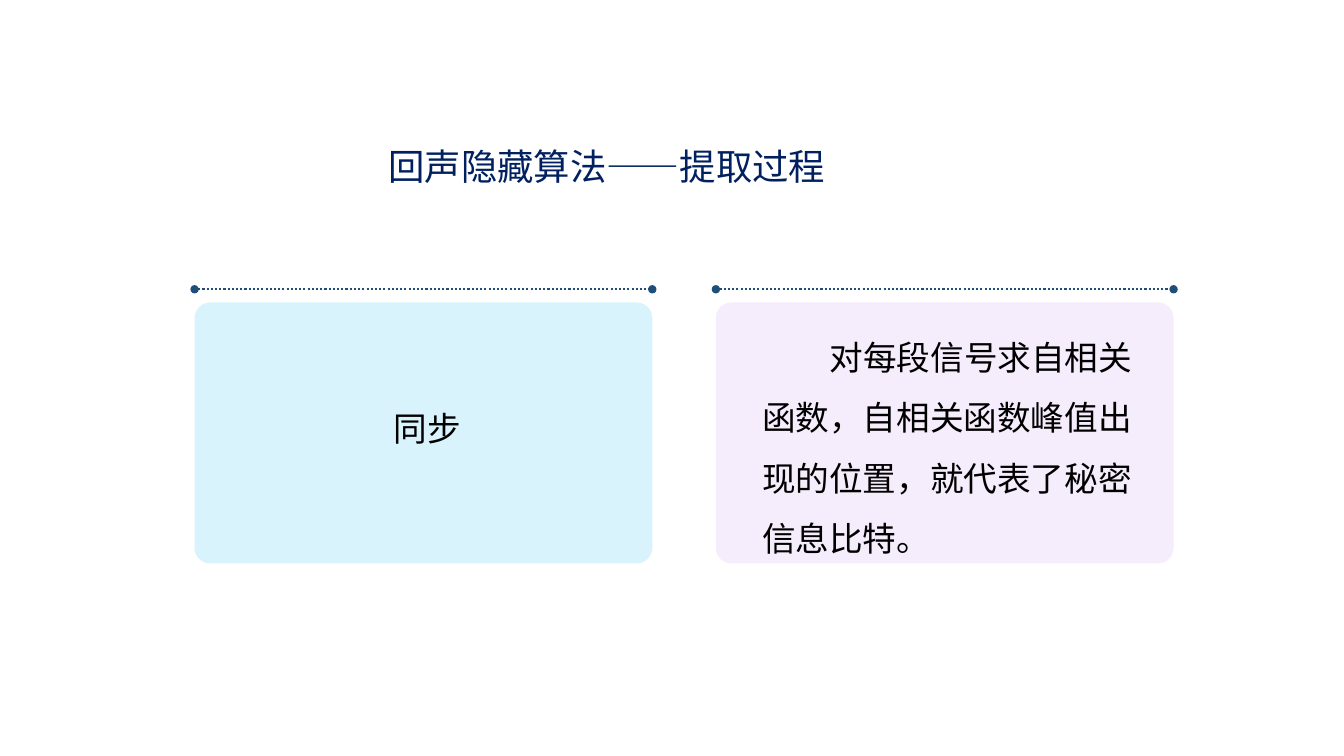
from dataclasses import dataclass
from lxml.etree import SubElement
from pptx import Presentation
from pptx.dml.color import RGBColor
from pptx.enum.dml import MSO_LINE
from pptx.enum.shapes import MSO_CONNECTOR, MSO_SHAPE
from pptx.enum.text import MSO_ANCHOR, PP_ALIGN
from pptx.oxml.ns import qn
from pptx.util import Inches, Pt


@dataclass(frozen=True)
class Theme:
    face: str = "Noto Sans CJK SC"
    navy: str = "002060"
    rule: str = "1F4E79"
    ink: str = "000000"
    sky: str = "00B0F0"
    lilac: str = "E3C9F7"
    head: int = 26
    body: int = 24


theme = Theme()


def write(frame, text, size, color, align, spacing):
    para = frame.paragraphs[0]
    para.text = text
    para.alignment = align
    para.line_spacing = spacing
    font = para.font
    font.name = theme.face
    font.size = Pt(size)
    font.color.rgb = RGBColor.from_string(color)
    latin = para._p.pPr.find(qn("a:defRPr")).find(qn("a:latin"))
    east = latin.makeelement(qn("a:ea"), {"typeface": theme.face})
    latin.addnext(east)
    return para


deck = Presentation()
deck.slide_width = Inches(13.33)
deck.slide_height = Inches(7.5)
slide = deck.slides.add_slide(deck.slide_layouts[5])
shapes = slide.shapes

title = shapes.title
title.left, title.top = Inches(3.75), Inches(1.36)
title.width, title.height = Inches(8.72), Inches(0.62)
title.text_frame.vertical_anchor = MSO_ANCHOR.MIDDLE
write(title.text_frame, "回声隐藏算法——提取过程", theme.head, theme.navy, PP_ALIGN.LEFT, 0.9)

width = 4.54
cards = [
    (1.93, theme.sky, 15, "同步", (3.8, 3.8, 0.88, 0.64), False, PP_ALIGN.CENTER, 0),
    (7.1, theme.lilac, 34, "对每段信号求自相关函数，自相关函数峰值出现的位置，就代表了秘密信息比特。",
     (7.46, 3.09, 3.95, 2.46), True, PP_ALIGN.LEFT, 0.67),
]
for left, color, alpha, text, area, wrap, align, indent in cards:
    rule = shapes.add_connector(
        MSO_CONNECTOR.STRAIGHT, Inches(left), Inches(2.87), Inches(left + width), Inches(2.87))
    rule.line.color.rgb = RGBColor.from_string(theme.rule)
    rule.line.width = Pt(1.5)
    rule.line.dash_style = MSO_LINE.ROUND_DOT
    stroke = rule.line._get_or_add_ln()
    for end in ("a:headEnd", "a:tailEnd"):
        SubElement(stroke, qn(end), type="oval")
    SubElement(rule._element.spPr, qn("a:effectLst"))

    card = shapes.add_shape(
        MSO_SHAPE.ROUNDED_RECTANGLE, Inches(left), Inches(3), Inches(width), Inches(2.59))
    card.adjustments[0] = 0.06
    card.shadow.inherit = False
    card.line.fill.background()
    card.fill.solid()
    card.fill.fore_color.rgb = RGBColor.from_string(color)
    tint = card._element.spPr.find(qn("a:solidFill")).find(qn("a:srgbClr"))
    SubElement(tint, qn("a:alpha"), val=str(alpha * 1000))

    box = shapes.add_textbox(*map(Inches, area))
    box.text_frame.word_wrap = wrap
    para = write(box.text_frame, text, theme.body, theme.ink, align, 1.5)
    if indent:
        para._p.pPr.set("indent", str(Inches(indent)))

deck.save("out.pptx")
